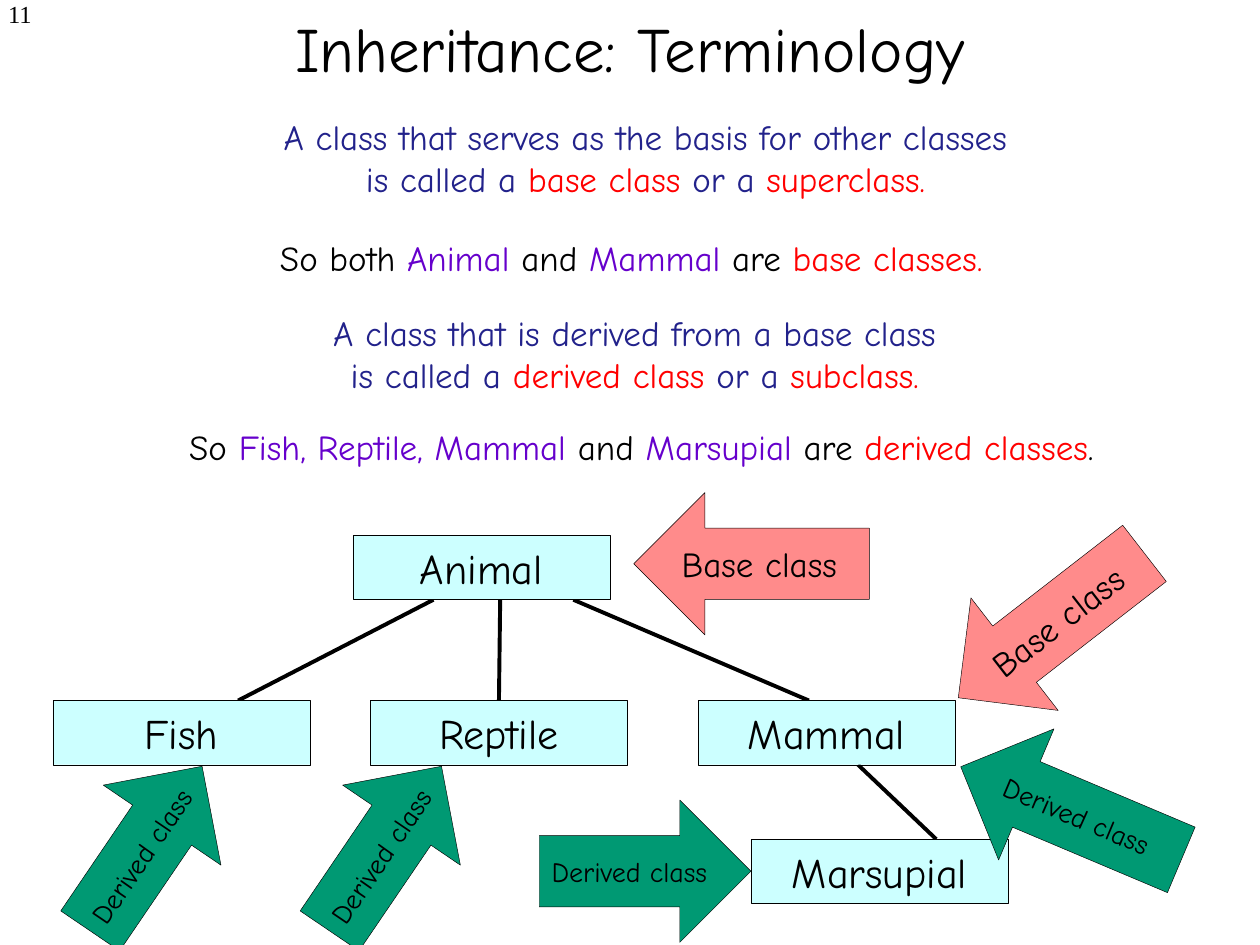
from lxml import etree
from pptx import Presentation
from pptx.dml.color import RGBColor
from pptx.enum.shapes import MSO_CONNECTOR, MSO_SHAPE
from pptx.enum.text import MSO_ANCHOR, MSO_AUTO_SIZE, PP_ALIGN
from pptx.oxml.ns import qn
from pptx.util import Inches, Pt

RECT = MSO_SHAPE.RECTANGLE
LEFT_ARROW, RIGHT_ARROW = MSO_SHAPE.LEFT_ARROW, MSO_SHAPE.RIGHT_ARROW
STRAIGHT = MSO_CONNECTOR.STRAIGHT
LEFT, CENTER, RIGHT = PP_ALIGN.LEFT, PP_ALIGN.CENTER, PP_ALIGN.RIGHT
TOP, MIDDLE = MSO_ANCHOR.TOP, MSO_ANCHOR.MIDDLE
GROW = MSO_AUTO_SIZE.SHAPE_TO_FIT_TEXT
FONT = "Comic Neue"
COLORS = {
    "black": "000000", "navy": "22228B", "red": "FF0000", "purple": "6600CC",
    "box": "CCFFFF", "base": "FF8B8B", "derived": "009973",
}
COLS, ROWS = 100, 75
CELL = Inches(0.1)
BOX_W, BOX_H, ARROW_H = 20.4, 5.1, 11.3
LEVELS = [42.5, 55.6, 66.6]


def grid(*cells):
    return [round(c * CELL) for c in cells]


def rgb(name):
    return RGBColor.from_string(COLORS[name])


def write(sp, runs, size=20, font=FONT, align=CENTER, anchor=TOP, wrap=False, grow=False):
    tf = sp.text_frame
    tf.word_wrap = wrap
    tf.vertical_anchor = anchor
    if grow:
        tf.auto_size = GROW
    p = tf.paragraphs[0]
    p.alignment = align
    for text, color in runs:
        for i, line in enumerate(text.split("\n")):
            if i:
                p.add_line_break()
            r = p.add_run()
            r.text = line
            r.font.name = font
            r.font.size = Pt(size)
            r.font.color.rgb = rgb(color)


def add_text(s, at, runs, **fmt):
    write(s.shapes.add_textbox(*grid(*at)), runs, **fmt)


def add_block(s, kind, at, fill, label, rotation=0, **fmt):
    sp = s.shapes.add_shape(kind, *grid(*at))
    sp.shadow.inherit = False
    sp.fill.solid()
    sp.fill.fore_color.rgb = rgb(fill)
    sp.line.color.rgb = rgb("black")
    sp.line.width = Pt(0.25)
    sp.rotation = rotation
    write(sp, [(label, "black")], anchor=MIDDLE, **fmt)
    return sp


def add_line(s, start, end):
    cx = s.shapes.add_connector(STRAIGHT, *grid(*start, *end))
    cx.line.color.rgb = rgb("black")
    cx.line.width = Pt(2.25)
    etree.SubElement(cx._element.spPr, qn("a:effectLst"))
    return cx


def add_definitions(s):
    add_text(s, (19.4, 18.3, 61.4, 4.4), [
        ("So both ", "black"), ("Animal ", "purple"), ("and ", "black"),
        ("Mammal ", "purple"), ("are ", "black"), ("base classes.", "red"),
    ], grow=True)
    add_text(s, (17.8, 8.7, 67.8, 7.7), [
        ("A class that serves as the basis for other classes \nis called a ", "navy"),
        ("base class ", "red"), ("or a ", "navy"), ("superclass. ", "red"),
    ], grow=True)
    add_text(s, (10.4, 33.3, 81, 4.4), [
        ("So ", "black"), ("Fish, Reptile, Mammal ", "purple"), ("and ", "black"),
        ("Marsupial ", "purple"), ("are ", "black"),
        ("derived classes", "red"), (".", "black"),
    ], grow=True)
    add_text(s, (5, 24.2, 91.7, 7.7), [
        ("A class that is derived from a base class \nis called a ", "navy"),
        ("derived class ", "red"), ("or a ", "navy"), ("subclass. ", "red"),
    ], wrap=True, grow=True)


def add_tree(s):
    root_bottom, child_top = LEVELS[0] + BOX_H, LEVELS[1]
    child_bottom, leaf_top = child_top + BOX_H, LEVELS[2]
    add_line(s, (34.4, root_bottom), (18.9, child_top))
    to_reptile = add_line(s, (39.7, root_bottom), (39.7, child_top))
    add_line(s, (45.5, root_bottom), (64.2, child_top))
    add_line(s, (68.1, child_bottom), (74.3, leaf_top))
    boxes = {}
    for name, col, level in [
        ("Animal", 28, 0), ("Fish", 4.2, 1), ("Mammal", 55.4, 1),
        ("Marsupial", 59.6, 2), ("Reptile", 29.4, 1),
    ]:
        at = (col, LEVELS[level], BOX_W, BOX_H)
        boxes[name] = add_block(s, RECT, at, "box", name, size=24)
    to_reptile.end_connect(boxes["Reptile"], 0)


def add_arrows(s):
    for kind, role, col, row, width, rotation in [
        (LEFT_ARROW, "base", 50.3, 39.1, 18.7, 0),
        (LEFT_ARROW, "base", 74.1, 44, 18.7, 322.2),
        (RIGHT_ARROW, "derived", 42.8, 63.5, 16.8, 0),
        (LEFT_ARROW, "derived", 75.5, 58.9, 19, 22.9),
        (RIGHT_ARROW, "derived", 3.7, 61.7, 15.8, 304.2),
        (RIGHT_ARROW, "derived", 22.7, 61.7, 15.8, 304.2),
    ]:
        add_block(s, kind, (col, row, width, ARROW_H), role,
                  f"{role.capitalize()} class", rotation,
                  size=20 if role == "base" else 16, align=LEFT)


def main():
    prs = Presentation()
    prs.slide_width, prs.slide_height = grid(COLS, ROWS)
    s = prs.slides.add_slide(prs.slide_layouts[6])
    add_text(s, (-17.3, -0.6, 20.8, 5), [("11", "black")],
             size=14, font="Times New Roman", align=RIGHT, wrap=True)
    add_text(s, (7.5, -2.5, 85, 12.5), [("Inheritance: Terminology", "black")],
             size=36, anchor=MIDDLE, wrap=True)
    add_definitions(s)
    add_tree(s)
    add_arrows(s)
    prs.save("out.pptx")


if __name__ == "__main__":
    main()
